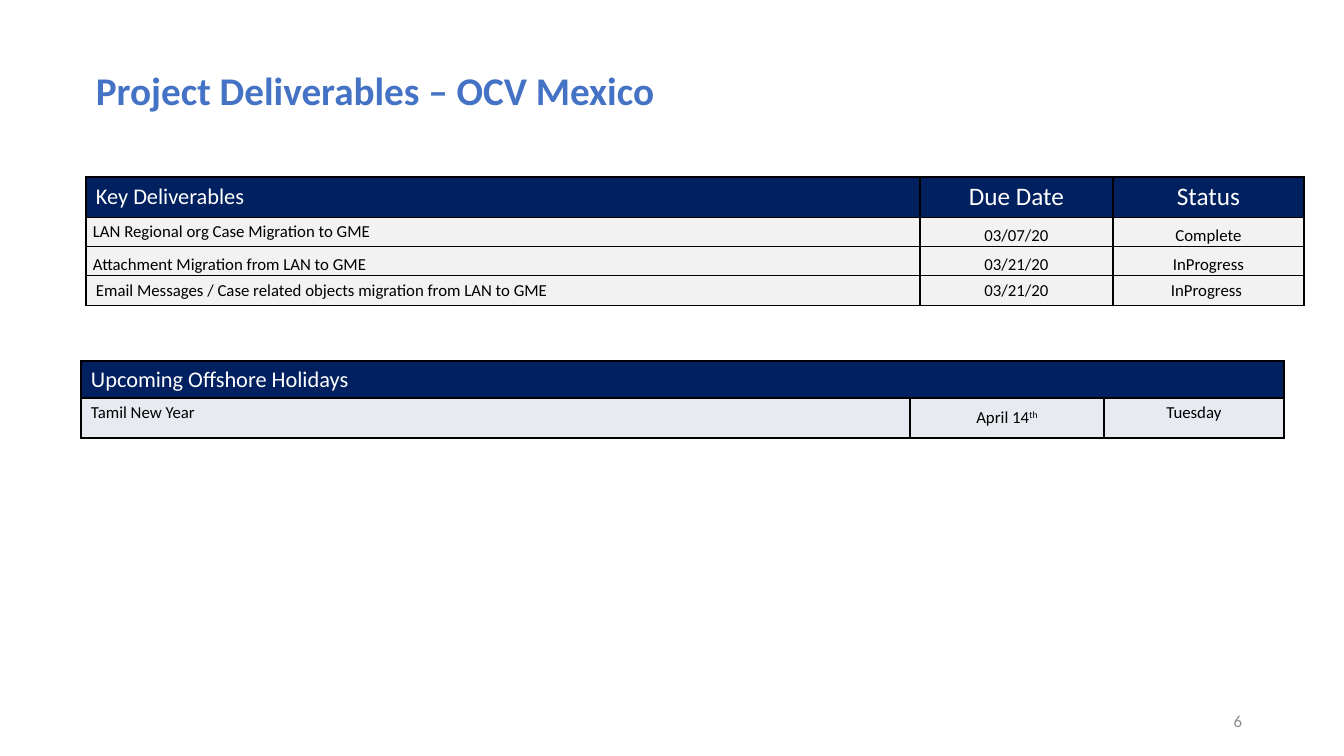
from lxml import etree
from pptx import Presentation
from pptx import util as u
from pptx.dml.color import RGBColor
from pptx.enum import text
from pptx.oxml.ns import qn

NAVY = RGBColor(0x00, 0x20, 0x60)
BLUE = RGBColor(0x44, 0x72, 0xC4)
GRAY = RGBColor(0x8C, 0x8C, 0x8C)
PALE = RGBColor(0xF2, 0xF2, 0xF2)
MIST = RGBColor(0xE7, 0xEA, 0xF0)
WHITE = RGBColor(0xFF, 0xFF, 0xFF)
BLACK = RGBColor(0x00, 0x00, 0x00)

LEFT, CENTER, RIGHT = (text.PP_ALIGN.LEFT, text.PP_ALIGN.CENTER,
                       text.PP_ALIGN.RIGHT)
TOP, MIDDLE, BOTTOM = (text.MSO_ANCHOR.TOP, text.MSO_ANCHOR.MIDDLE,
                       text.MSO_ANCHOR.BOTTOM)
ROOMY, TIGHT = (10, 5), (7, 0)


def px(n):
    return u.Emu(round(n * 914400 / 100.8))


def assign(obj, values):
    for name, value in values.items():
        setattr(obj, name, value)


class Deck:
    font = "Calibri"

    def __init__(self, width, height):
        self.prs = Presentation()
        assign(self.prs, {"slide_width": px(width), "slide_height": px(height)})
        self.s = self.prs.slides.add_slide(self.prs.slide_layouts[6])

    def add_text(self, tf, content, size, color, align=LEFT, bold=False):
        """Fill one paragraph; a part after ^ becomes superscript."""
        p = tf.paragraphs[0]
        p.alignment = align
        for i, part in enumerate(content.split("^")):
            r = p.add_run()
            r.text = part
            assign(r.font, {"name": self.font, "size": u.Pt(size), "bold": bold})
            r.font.color.rgb = color
            if i:
                r._r.get_or_add_rPr().set("baseline", "30000")

    def textbox(self, box, content, size, color, align=LEFT, bold=False, **frame):
        tf = self.s.shapes.add_textbox(*map(px, box)).text_frame
        assign(tf, {"word_wrap": True, **frame})
        self.add_text(tf, content, size, color, align, bold)

    def border(self, cell):
        tcPr = cell._tc.get_or_add_tcPr()
        for i, side in enumerate("LRTB"):
            ln = etree.Element(qn(f"a:ln{side}"), w=str(u.Pt(1)))
            fill = etree.SubElement(ln, qn("a:solidFill"))
            etree.SubElement(fill, qn("a:srgbClr"), val=str(BLACK))
            tcPr.insert(i, ln)

    def cell(self, cell, content, size, color, fill, align, anchor, inset):
        x, y = map(px, inset)
        assign(cell, {"vertical_anchor": anchor, "margin_left": x,
                      "margin_right": x, "margin_top": y, "margin_bottom": y})
        cell.fill.solid()
        cell.fill.fore_color.rgb = fill
        self.border(cell)
        if content:
            self.add_text(cell.text_frame, content, size, color, align)

    def table(self, left, top, widths, heights, rows, fill):
        """Rows hold (texts, sizes, anchors, inset); row 0 is the header."""
        t = self.s.shapes.add_table(
            len(rows), len(widths), px(left), px(top),
            px(sum(widths)), px(sum(heights))).table
        assign(t, {"first_row": False, "horz_banding": False})
        for col, width in zip(t.columns, widths):
            col.width = px(width)
        for i, (texts, sizes, anchors, inset) in enumerate(rows):
            t.rows[i].height = px(heights[i])
            color, back = (BLACK, fill) if i else (WHITE, NAVY)
            for j, (content, size, anchor) in enumerate(zip(texts, sizes, anchors)):
                self.cell(t.cell(i, j), content, size, color, back,
                          CENTER if j else LEFT, anchor, inset)
        return t


def main():
    deck = Deck(1344, 756)
    deck.textbox((950, 701, 302, 40), "6", 12, GRAY, RIGHT,
                 vertical_anchor=MIDDLE)
    deck.textbox((86, 61, 595, 57), "Project Deliverables – OCV Mexico", 28, BLUE,
                 bold=True, word_wrap=False,
                 auto_size=text.MSO_AUTO_SIZE.SHAPE_TO_FIT_TEXT)

    body = (12,) * 3
    middle = (MIDDLE,) * 3
    deck.table(86, 177, (834, 193, 191), (35, 29, 29, 29), [
        (("Key Deliverables", "Due Date", "Status"), (16, 18, 18), middle, ROOMY),
        (("LAN Regional org Case Migration to GME", "03/07/20", "Complete"),
         body, (MIDDLE, BOTTOM, BOTTOM), TIGHT),
        (("Attachment Migration from LAN to GME", "03/21/20", "InProgress"),
         body, (BOTTOM,) * 3, TIGHT),
        (("Email Messages / Case related objects migration from LAN to GME",
          "03/21/20", "InProgress "), body, middle, ROOMY),
    ], PALE)

    holidays = deck.table(81, 361, (829, 194, 180), (37, 40), [
        (("Upcoming Offshore Holidays", "", ""), (16,) * 3, middle, ROOMY),
        (("Tamil New Year", "April 14^th", "Tuesday"), body,
         (TOP, MIDDLE, TOP), ROOMY),
    ], MIST)
    holidays.cell(0, 0).merge(holidays.cell(0, 2))

    deck.prs.save("out.pptx")


if __name__ == "__main__":
    main()
